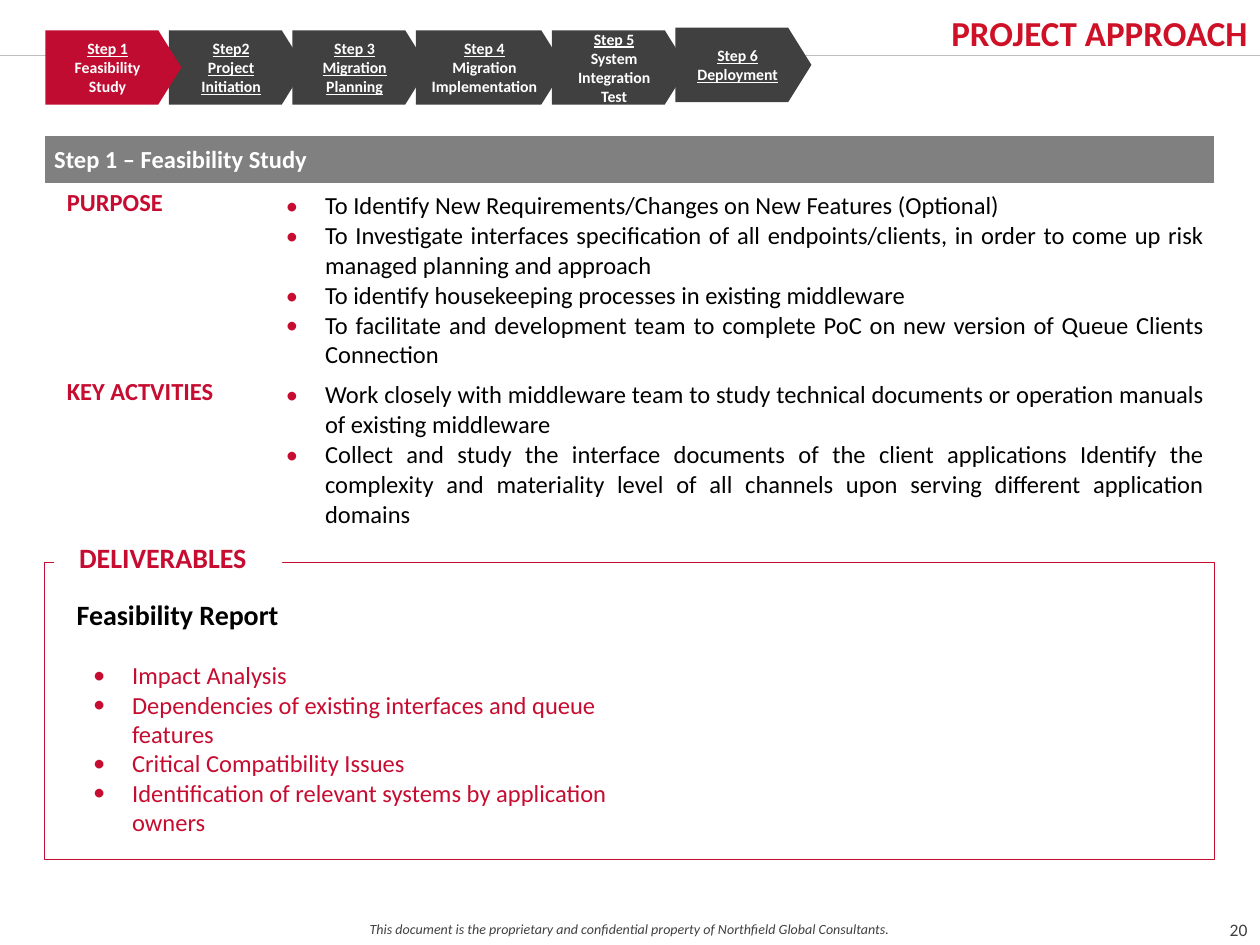
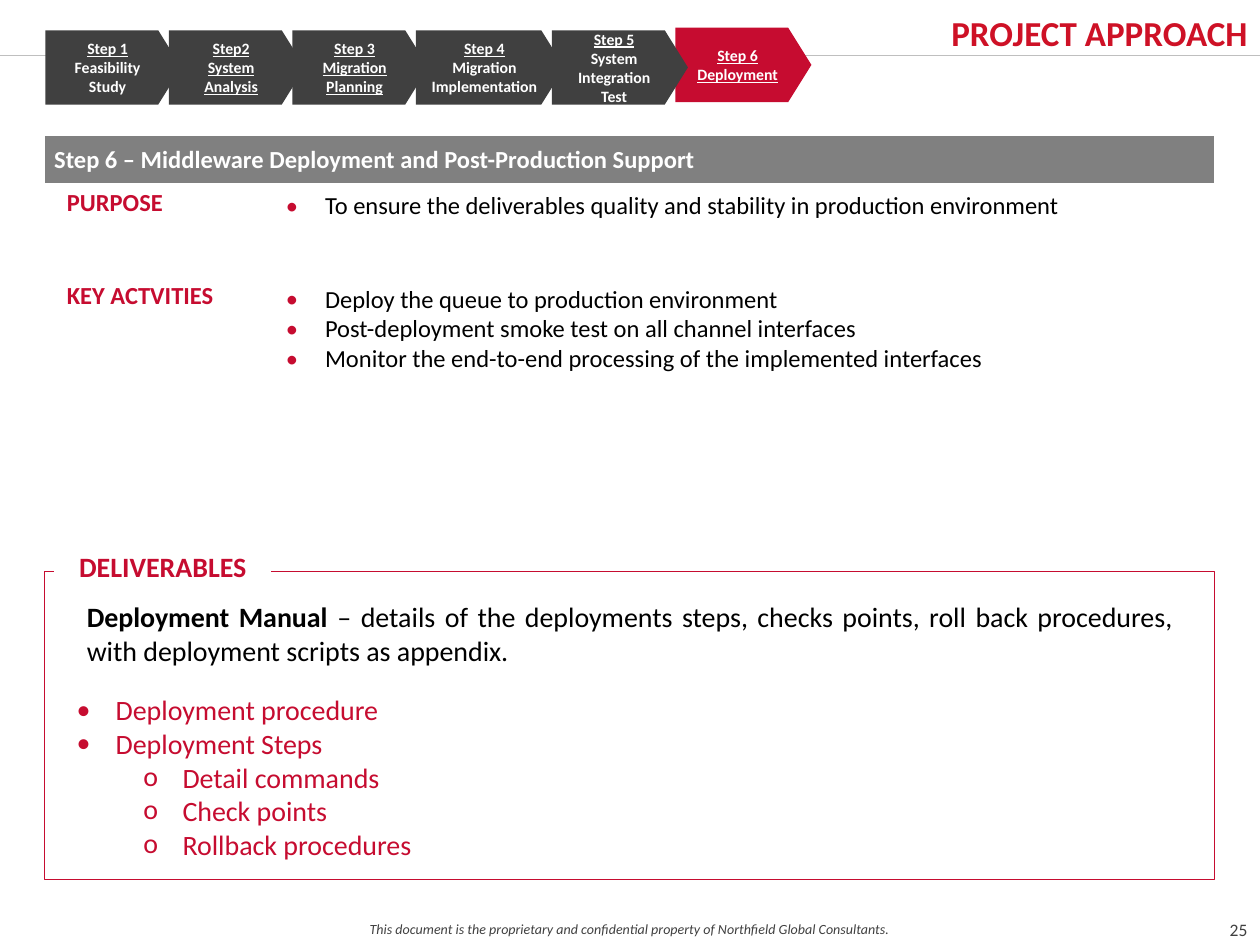
import collections

import pptx
import pptx.dml.color
import pptx.enum.shapes
import pptx.enum.text
import pptx.oxml.ns
import pptx.util
from lxml import etree

# The slide is a grid of 100 columns by 75 rows of square cells.
COLUMNS, ROWS = 100, 75
CELL = pptx.util.Inches(0.1)
FONT = "Calibri"
COLORS = {
    "white": "FFFFFF",
    "black": "000000",
    "red": "C60C30",
    "crimson": "C00C30",
    "title": "CE1126",
    "dark": "404040",
    "band": "808080",
    "rule": "BFBFBF",
}
SHAPES = pptx.enum.shapes.MSO_SHAPE
ANCHOR = pptx.enum.text.MSO_ANCHOR
ALIGN = pptx.enum.text.PP_ALIGN
BULLET = {"bullet": "•", "indent": 3.1, "hang": 3.1}
SUB_BULLET = {"bullet": "o", "indent": 8.4, "hang": 3.1, "level": 1}
LABEL = {"color": "red", "bold": True, "indent": 1, "line": 15, "tab": 2.5}

Step = collections.namedtuple("Step", "number name underlined width rise")


class Box(collections.namedtuple("Box", "left top width height")):
    """A rectangle in grid cells."""

    def inner(self, left, top, width, height):
        return Box(self.left + left, self.top + top, width, height)

    def emu(self):
        return [cells(value) for value in self]


PAGE = Box(0, 0, COLUMNS, ROWS)
RIBBON = Box(3.5, 2.4, 60.9, 5.9)


def cells(count):
    return int(count * CELL)


def rgb(name):
    return pptx.dml.color.RGBColor.from_string(COLORS[name])


def child(parent, tag, **attributes):
    return etree.SubElement(parent, pptx.oxml.ns.qn(tag), attributes)


def write(frame, text, size=14, color="black", bold=False, italic=False, underline=False,
          align=ALIGN.LEFT, indent=0, hang=0, bullet=None, bullet_color=None,
          line=None, tab=None, level=0):
    """Add one paragraph; text is a string or a list of (string, bold) runs."""
    paragraph = frame.paragraphs[0]
    if paragraph.runs:
        paragraph = frame.add_paragraph()
    properties = paragraph._p.get_or_add_pPr()
    properties.set("marL", str(cells(indent)))
    properties.set("indent", str(cells(-hang)))
    if bullet:
        tint = child(properties, "a:buClr")
        child(tint, "a:srgbClr", val=COLORS[bullet_color or color])
        child(properties, "a:buFont", typeface=FONT)
        child(properties, "a:buChar", char=bullet)
    if tab:
        stops = child(properties, "a:tabLst")
        child(stops, "a:tab", pos=str(cells(tab)), algn="l")
    paragraph.alignment = align
    paragraph.level = level
    if line:
        paragraph.line_spacing = pptx.util.Pt(line)
    for words, heavy in [(text, bold)] if isinstance(text, str) else text:
        run = paragraph.add_run()
        run.text = words
        font = run.font
        font.name, font.size = FONT, pptx.util.Pt(size)
        font.bold, font.italic, font.underline = heavy, italic, underline
        font.color.rgb = rgb(color)


def set_margins(holder, left, top, right, bottom):
    holder.margin_left, holder.margin_top = cells(left), cells(top)
    holder.margin_right, holder.margin_bottom = cells(right), cells(bottom)


def text_area(slide, box, margins=(1, 0.5, 1, 0.5), anchor=ANCHOR.TOP):
    frame = slide.shapes.add_textbox(*box.emu()).text_frame
    frame.word_wrap = True
    frame.vertical_anchor = anchor
    set_margins(frame, *margins)
    return frame


def panel(slide, box, kind=SHAPES.RECTANGLE, fill=None, line=None, anchor=ANCHOR.TOP):
    shape = slide.shapes.add_shape(kind, *box.emu())
    shape.shadow.inherit = False
    if fill:
        shape.fill.solid()
        shape.fill.fore_color.rgb = rgb(fill)
    else:
        shape.fill.background()
    if line:
        shape.line.color.rgb = rgb(line)
        shape.line.width = pptx.util.Pt(0.25)
    else:
        shape.line.fill.background()
    shape.text_frame.word_wrap = True
    shape.text_frame.vertical_anchor = anchor
    return shape


def page_frame(slide, box, number):
    """Footer, page number, top rule and title."""
    footer = text_area(slide, box.inner(0, 72.6, box.width, 2.4), (1.1, 0.5, 1.1, 0.5))
    write(footer, "This document is the proprietary and confidential property of "
          "Northfield Global Consultants.",
          size=8, color="dark", italic=True, align=ALIGN.CENTER)
    page = text_area(slide, box.inner(96, 71.6, 4.6, 4.3), (1.1, 0.5, 1.1, 0.5),
                     ANCHOR.MIDDLE)
    write(page, str(number), size=10, color="dark", align=ALIGN.CENTER)
    level = cells(box.top + 4.4)
    rule = slide.shapes.add_connector(
        pptx.enum.shapes.MSO_CONNECTOR.STRAIGHT,
        cells(box.left), level, cells(box.left + box.width), level)
    rule.line.color.rgb = rgb("rule")
    rule.line.width = pptx.util.Pt(0.5)
    child(rule._element.spPr, "a:effectLst")
    title = text_area(slide, box.inner(40.1, 0.2, 59.9, 4.2), (0, 0.7, 1, 0.7))
    write(title, "PROJECT APPROACH", size=20, color="title", bold=True, align=ALIGN.RIGHT)


def step_ribbon(slide, box, second_step, active, active_color):
    """Overlapping arrows, each lying over the start of the next."""
    steps = [
        Step("Step 1", "Feasibility Study", False, 10.8, 0),
        Step("Step2", second_step, True, 10.8, 0),
        Step("Step 3", "Migration Planning", True, 10.8, 0),
        Step("Step 4", "Migration Implementation", False, 11.8, 0),
        Step("Step 5", "System Integration Test", False, 10.8, 0),
        Step("Step 6", "Deployment", True, 10.8, 0.2),
    ]
    overlap = 1
    left = box.width
    for step in reversed(steps):
        left -= step.width
        arrow = panel(slide, box.inner(left, -step.rise, step.width, box.height),
                      SHAPES.PENTAGON, anchor=ANCHOR.MIDDLE,
                      fill=active_color if step.number == active else "dark")
        arrow.adjustments[0] = 0.312
        style = {"size": 9, "color": "white", "bold": True, "align": ALIGN.CENTER}
        write(arrow.text_frame, step.number, underline=True, **style)
        write(arrow.text_frame, step.name, underline=step.underlined, **style)
        left += overlap


def style_cell(cell, fill=None, bottom=1):
    set_margins(cell, 0.8, 0.5, 0.8, 0.5)
    properties = cell._tc.get_or_add_tcPr()
    for side, points in (("L", 1), ("R", 1), ("T", 1), ("B", bottom)):
        edge = child(properties, "a:ln" + side, w=str(pptx.util.Pt(points)))
        child(child(edge, "a:solidFill"), "a:srgbClr", val=COLORS["white"])
    if fill:
        cell.fill.solid()
        cell.fill.fore_color.rgb = rgb(fill)
    else:
        cell.fill.background()


def scope_table(slide, box, heading, row_heights, sections, align):
    """Heading band above rows of a label and its bulleted points."""
    table = slide.shapes.add_table(len(row_heights), 2, *box.emu()).table
    table.first_row = table.horz_banding = False
    label_width = 18.4
    table.columns[0].width = cells(label_width)
    table.columns[1].width = cells(box.width - label_width)
    for row, height in zip(table.rows, row_heights):
        row.height = cells(height)
    band = table.cell(0, 0)
    band.merge(table.cell(0, 1))
    for cell in table.rows[0].cells:
        style_cell(cell, "band", bottom=3)
    band.vertical_anchor = ANCHOR.MIDDLE
    write(band.text_frame, heading, color="white", bold=True)
    for row, (label, points) in enumerate(sections.items(), 1):
        name, detail = table.cell(row, 0), table.cell(row, 1)
        style_cell(name)
        style_cell(detail, "white")
        write(name.text_frame, label, align=ALIGN.JUSTIFY, **LABEL)
        for point in points:
            write(detail.text_frame, point, bullet_color="red", align=align, **BULLET)


def deliverables(slide, box, label_width, summary_box, summary, items_box, items, item_size):
    """Outlined box with its name set into the top edge; inner boxes are relative to it."""
    panel(slide, box, line="red")
    name = panel(slide, box.inner(0.8, -1.6, label_width, 3.2), fill="white")
    write(name.text_frame, "DELIVERABLES", size=16, **LABEL)
    write(text_area(slide, box.inner(*summary_box)), summary, size=16, align=ALIGN.JUSTIFY)
    listing = text_area(slide, box.inner(*items_box))
    for item, bullet in items:
        write(listing, item, size=item_size, color="red", **bullet)


def feasibility_slide(slide):
    page_frame(slide, PAGE, 20)
    scope_table(
        slide, Box(3.5, 10.7, 92.9, 31.5), "Step 1 – Feasibility Study", (4, 10.3, 17.2),
        {
            "PURPOSE": [
                "To Identify New Requirements/Changes on New Features (Optional)",
                "To Investigate interfaces specification of all endpoints/clients, "
                "in order to come up risk managed planning and approach",
                "To identify housekeeping processes in existing middleware",
                "To facilitate and development team to complete PoC on new version "
                "of Queue Clients Connection",
            ],
            "KEY ACTVITIES": [
                "Work closely with middleware team to study technical documents or "
                "operation manuals of existing middleware",
                "Collect and study the interface documents of the client applications "
                "Identify the complexity and materiality level of all channels upon "
                "serving different application domains",
            ],
        }, ALIGN.JUSTIFY)
    findings = ["Impact Analysis", "Dependencies of existing interfaces and queue features",
                "Critical Compatibility Issues",
                "Identification of relevant systems by application owners"]
    deliverables(
        slide, Box(3.5, 44.6, 92.9, 23.6), 18.1,
        Box(1.6, 2.3, 44.1, 3.7), [("Feasibility Report", True)],
        Box(2.9, 7.3, 47.2, 15.5), [(finding, BULLET) for finding in findings], 14)
    step_ribbon(slide, RIBBON, "Project Initiation", "Step 1", "crimson")


def deployment_slide(slide):
    page_frame(slide, PAGE, 25)
    step_ribbon(slide, RIBBON, "System Analysis", "Step 6", "red")
    scope_table(
        slide, Box(3.5, 10.7, 92.9, 24.7),
        "Step 6 – Middleware Deployment and Post-Production Support", (4, 7.4, 13.3),
        {
            "PURPOSE": [
                "To ensure the deliverables quality and stability in production environment",
            ],
            "KEY ACTVITIES": [
                "Deploy the queue to production environment",
                "Post-deployment smoke test on all channel interfaces",
                "Monitor the end-to-end processing of the implemented interfaces",
            ],
        }, ALIGN.LEFT)
    deliverables(
        slide, Box(3.5, 45.3, 92.9, 24.5), 17.2,
        Box(2.4, 1.8, 88.2, 6.4),
        [("Deployment Manual ", True),
         ("– details of the deployments steps, checks points, roll back procedures, "
          "with deployment scripts as appendix.", False)],
        Box(1.6, 9.2, 47.2, 14.5),
        [("Deployment procedure", BULLET), ("Deployment Steps", BULLET),
         ("Detail commands", SUB_BULLET), ("Check points", SUB_BULLET),
         ("Rollback procedures", SUB_BULLET)], 16)


def main():
    deck = pptx.Presentation()
    deck.slide_width, deck.slide_height = cells(COLUMNS), cells(ROWS)
    blank = deck.slide_layouts[6]
    for build in (feasibility_slide, deployment_slide):
        build(deck.slides.add_slide(blank))
    deck.save("out.pptx")


if __name__ == "__main__":
    main()
